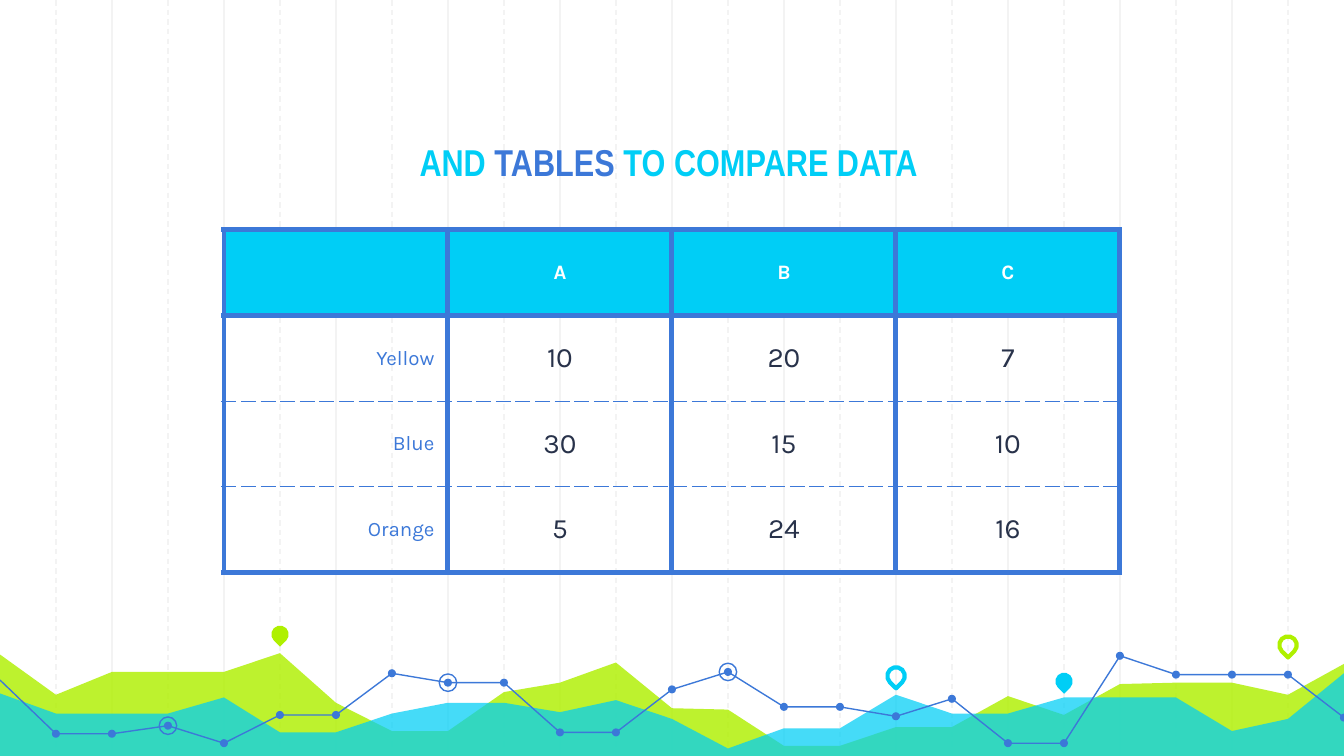
import lxml.etree
import pptx
import pptx.dml.color
import pptx.enum.dml
import pptx.enum.shapes
import pptx.enum.text
import pptx.oxml.ns
import pptx.util

RGB = pptx.dml.color.RGBColor
SHAPE = pptx.enum.shapes.MSO_SHAPE
ALIGN = pptx.enum.text.PP_ALIGN
ANCHOR = pptx.enum.text.MSO_ANCHOR
DASH = pptx.enum.dml.MSO_LINE.DASH
Inches, Pt, qn = pptx.util.Inches, pptx.util.Pt, pptx.oxml.ns.qn

LIME = RGB(0xAF, 0xF0, 0x00)
CYAN = RGB(0x00, 0xCE, 0xF6)
BLUE = RGB(0x3C, 0x78, 0xD8)
NAVY = RGB(0x28, 0x32, 0x4A)
GREY = RGB(0xF3, 0xF3, 0xF3)
WHITE = RGB(0xFF, 0xFF, 0xFF)

TITLE = [("AND ", CYAN), ("TABLES", BLUE), (" TO COMPARE DATA", CYAN)]
ROWS = [
    ("", "A", "B", "C"),
    ("Yellow", "10", "20", "7"),
    ("Blue", "30", "15", "10"),
    ("Orange", "5", "24", "16"),
]

# Heights in inches, one for each grid column from the left edge to the right
HILLS = [
    (LIME, 82, [4.87, 5.17, 5, 5, 5, 4.86, 5.23, 5.44, 5.44, 5.15, 5.08, 4.93,
                5.27, 5.28, 5.55, 5.55, 5.41, 5.41, 5.18, 5.32, 5.09, 5.08,
                5.08, 5.17, 4.94]),
    (CYAN, 73, [5.16, 5.31, 5.31, 5.31, 5.19, 5.45, 5.45, 5.31, 5.23, 5.23,
                5.3, 5.21, 5.35, 5.57, 5.42, 5.42, 5.17, 5.31, 5.31, 5.19,
                5.19, 5.19, 5.44, 5.35, 5.01]),
]
TREND = [5.06, 5.46, 5.46, 5.4, 5.53, 5.32, 5.32, 5.01, 5.08, 5.08, 5.45, 5.45,
         5.13, 5, 5.26, 5.26, 5.33, 5.2, 5.53, 5.53, 4.88, 5.02, 5.02, 5.02,
         5.34]
PARTS = [(0, 11), (11, 20), (20, 24)]
RINGS = [3, 8, 13]
PINS = [(5, 4.72, LIME, True), (16, 5.03, CYAN, False),
        (19, 5.07, CYAN, True), (23, 4.8, LIME, False)]

WIDE, HIGH = 10, 10 * 9 / 16
STEP = WIDE / 24
BASE = 5.65
DOT, MARK = 0.06, 0.13

deck = pptx.Presentation()
deck.slide_width, deck.slide_height = Inches(WIDE), Inches(HIGH)
slide = deck.slides.add_slide(deck.slide_layouts[6])
shapes = slide.shapes


def apply(item, **values):
    for name, value in values.items():
        setattr(item, name, value)


def paint(shape, fill=None, line=None, width=0.75):
    shape.shadow.inherit = False
    for part, color in ((shape.fill, fill), (shape.line.fill, line)):
        if color is None:
            part.background()
        else:
            part.solid()
            part.fore_color.rgb = color
    if line is not None:
        shape.line.width = Pt(width)


def outline(points, close):
    spots = [(Inches(x), Inches(y)) for x, y in points]
    pen = shapes.build_freeform(*spots[0])
    pen.add_line_segments(spots[1:], close=close)
    return pen.convert_to_shape()


def mark(kind, col, y, size):
    """Add a square shape centred on a grid column."""
    return shapes.add_shape(kind, Inches(col * STEP - size / 2),
                            Inches(y - size / 2), Inches(size), Inches(size))


def write(para, text, color, **font):
    run = para.add_run()
    run.text = text
    apply(run.font, **font)
    run.font.color.rgb = color


def edge(cell, side, width, dash):
    props = cell._tc.get_or_add_tcPr()
    line = lxml.etree.SubElement(props, qn("a:ln" + side), w=str(Pt(width)))
    fill = lxml.etree.SubElement(line, qn("a:solidFill"))
    lxml.etree.SubElement(fill, qn("a:srgbClr"), val=str(BLUE))
    lxml.etree.SubElement(line, qn("a:prstDash"), val=dash)


def draw_grid():
    for col in [*range(2, 24, 2), *range(1, 24, 2)]:
        x = Inches(col * STEP)
        rule = shapes.add_connector(pptx.enum.shapes.MSO_CONNECTOR.STRAIGHT,
                                    x, 0, x, Inches(BASE))
        rule.line.color.rgb = GREY
        rule.line.width = Pt(0.75)
        if col % 2:
            rule.line.dash_style = DASH
        lxml.etree.SubElement(rule._element.spPr, qn("a:effectLst"))


def draw_hills():
    for color, alpha, tops in HILLS:
        points = [(col * STEP, y) for col, y in enumerate(tops)]
        hill = outline(points + [(WIDE, BASE), (0, BASE)], True)
        paint(hill, fill=color)
        tint = hill._element.spPr.find(qn("a:solidFill"))[0]
        lxml.etree.SubElement(tint, qn("a:alpha"), val=str(alpha * 1000))


def draw_trend():
    for first, last in PARTS:
        points = [(col * STEP, TREND[col]) for col in range(first, last + 1)]
        paint(outline(points, False), line=BLUE)
    for col, y in enumerate(TREND[1:], 1):
        paint(mark(SHAPE.OVAL, col, y, DOT), fill=BLUE)
    for col in RINGS:
        paint(mark(SHAPE.OVAL, col, TREND[col], MARK), line=BLUE)


def draw_pins():
    for col, y, color, solid in PINS:
        pin = mark(SHAPE.TEAR, col, y, MARK)
        pin.rotation = 135
        if solid:
            paint(pin, fill=color)
        else:
            paint(pin, line=color, width=2.25)


def draw_title():
    box = shapes.add_textbox(Inches(1.15), Inches(0.69),
                             Inches(7.65), Inches(0.78))
    pad = Inches(0.1)
    apply(box.text_frame, word_wrap=True, vertical_anchor=ANCHOR.BOTTOM,
          margin_left=pad, margin_right=pad, margin_top=pad, margin_bottom=pad)
    para = box.text_frame.paragraphs[0]
    para.alignment = ALIGN.CENTER
    for text, color in TITLE:
        write(para, text, color, size=Pt(20), name="Arial Narrow", bold=True)


def draw_table():
    count, span = len(ROWS), len(ROWS[0])
    table = shapes.add_table(count, span, Inches(4 * STEP), Inches(1.71),
                             Inches(16 * STEP), Inches(2.55)).table
    apply(table, first_row=False, horz_banding=False)
    for r, row in enumerate(ROWS):
        for c, text in enumerate(row):
            cell = table.cell(r, c)
            apply(cell, vertical_anchor=ANCHOR.MIDDLE,
                  margin_left=Inches(0.1), margin_right=Inches(0.1),
                  margin_top=Inches(0.07), margin_bottom=Inches(0.07))
            thick = {"L": True, "R": True, "T": r < 2,
                     "B": r in (0, count - 1)}
            for side, heavy in thick.items():
                edge(cell, side, *((3, "solid") if heavy else (0.75, "dash")))
            head, label = r == 0, c == 0
            if head:
                cell.fill.solid()
                cell.fill.fore_color.rgb = CYAN
            else:
                cell.fill.background()
            para = cell.text_frame.paragraphs[0]
            para.alignment = ALIGN.RIGHT if label else ALIGN.CENTER
            if text:
                color = WHITE if head else BLUE if label else NAVY
                write(para, text, color, name="Karla", bold=head,
                      size=Pt(11 if head or label else 15))


draw_grid()
draw_hills()
draw_pins()
draw_trend()
draw_title()
draw_table()
deck.save("out.pptx")
